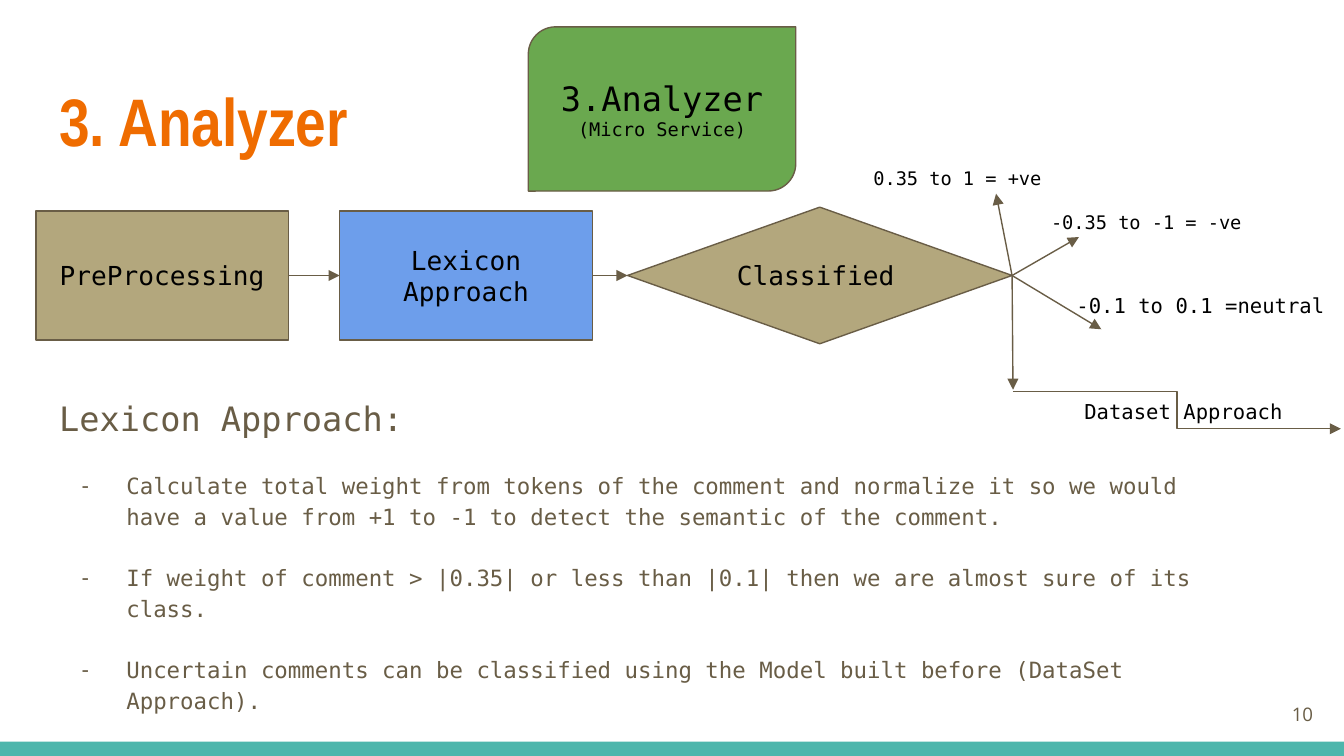
from lxml import etree
from pptx import Presentation
from pptx import util as u
from pptx.dml.color import RGBColor
from pptx.enum import shapes, text
from pptx.oxml.ns import qn

Pt = u.Pt
COLORS = {
    "orange": "EF6C00", "brown": "695D46", "black": "000000", "teal": "4DB6AC",
    "green": "6AA84F", "blue": "6D9EEB", "sand": "B3A77D",
}
MONO = "DejaVu Sans Mono"
LEFT, CENTER, RIGHT = text.PP_ALIGN.LEFT, text.PP_ALIGN.CENTER, text.PP_ALIGN.RIGHT
TOP, MIDDLE = text.MSO_ANCHOR.TOP, text.MSO_ANCHOR.MIDDLE
SHAPE = shapes.MSO_SHAPE
FLOW_Y = 147.6
STEP_TOP, STEP_WIDTH, STEP_HEIGHT = 113, 135.4, 69.2

BULLETS = [
    "Calculate total weight from tokens of the comment and normalize it so we would "
    "have a value from +1 to -1 to detect the semantic of the comment.",
    "If weight of comment > |0.35| or less than |0.1| then we are almost sure of its class.",
    "Uncertain comments can be classified using the Model built before (DataSet Approach).",
]


def rgb(name):
    return RGBColor.from_string(COLORS[name])


def place(element, left, top, width, height):
    element.left, element.top = Pt(left), Pt(top)
    element.width, element.height = Pt(width), Pt(height)


def prepare_frame(frame, anchor=TOP):
    frame.word_wrap = True
    frame.auto_size = text.MSO_AUTO_SIZE.NONE
    frame.vertical_anchor = anchor
    frame.margin_left = frame.margin_right = Pt(7.2)
    frame.margin_top = frame.margin_bottom = Pt(7.2)


def write(frame, lines, color="black", name=MONO, align=LEFT, bold=False):
    for index, (words, size) in enumerate(lines):
        paragraph = frame.paragraphs[0] if index == 0 else frame.add_paragraph()
        paragraph.text = words
        paragraph.alignment = align
        font = paragraph.font
        font.name, font.size, font.bold = name, Pt(size), bold
        font.color.rgb = rgb(color)


def set_bullet(paragraph, mark=None):
    properties = paragraph._p.get_or_add_pPr()
    properties.set("marL", str(Pt(36) if mark else 0))
    properties.set("indent", str(Pt(-24) if mark else 0))
    bullet = etree.Element(qn("a:buChar" if mark else "a:buNone"))
    if mark:
        bullet.set("char", mark)
    properties.find(qn("a:defRPr")).addprevious(bullet)


def fill_title(title):
    place(title, 24.5, 35.3, 671, 55.4)
    prepare_frame(title.text_frame)
    write(title.text_frame, [("3. Analyzer", 36)], "orange", "Arial Narrow", bold=True)


def fill_body(body):
    place(body, 24.5, 203, 648, 185.8)
    frame = body.text_frame
    prepare_frame(frame)
    write(frame, [("Lexicon Approach:", 18)] + [(line, 12) for line in BULLETS], "brown")
    for index, paragraph in enumerate(frame.paragraphs):
        paragraph.line_spacing = 1.15
        paragraph.space_before = Pt(16 if index else 0)
        set_bullet(paragraph, "-" if index else None)


def add_block(slide, kind, box, fill, lines=(), align=CENTER, outlined=True):
    block = slide.shapes.add_shape(kind, *map(Pt, box))
    block.shadow.inherit = False
    block.fill.solid()
    block.fill.fore_color.rgb = rgb(fill)
    if outlined:
        block.line.color.rgb = rgb("brown")
        block.line.width = Pt(0.75)
    else:
        block.line.fill.background()
    prepare_frame(block.text_frame, MIDDLE)
    write(block.text_frame, lines, align=align)
    return block


def add_label(slide, box, words, size, color="black", name=MONO, align=LEFT, anchor=TOP):
    label = slide.shapes.add_textbox(*map(Pt, box))
    prepare_frame(label.text_frame, anchor)
    write(label.text_frame, [(words, size)], color, name, align)


def add_arrow(slide, start, end, kind=shapes.MSO_CONNECTOR.STRAIGHT):
    arrow = slide.shapes.add_connector(kind, *map(Pt, start + end))
    arrow.line.color.rgb = rgb("brown")
    arrow.line.width = Pt(0.75)
    etree.SubElement(arrow.line._get_or_add_ln(), qn("a:tailEnd"), type="triangle")
    etree.SubElement(arrow._element.spPr, qn("a:effectLst"))


def main():
    deck = Presentation()
    deck.slide_width, deck.slide_height = Pt(720), Pt(405)
    slide = deck.slides.add_slide(deck.slide_layouts[1])

    add_block(slide, SHAPE.RECTANGLE, (0, 397.4, 720, 7.6), "teal", outlined=False)
    fill_title(slide.shapes.title)
    fill_body(slide.placeholders[1])

    analyzer = add_block(slide, SHAPE.ROUND_2_DIAG_RECTANGLE, (283, 14.4, 143.3, 88), "green",
                         [("3.Analyzer", 18), ("(Micro Service)", 10)])
    analyzer.adjustments[0] = 0.167
    analyzer.adjustments[1] = 0

    for left, fill, words in [(19.2, "sand", "PreProcessing"), (182, "blue", "Lexicon Approach")]:
        add_block(slide, SHAPE.FLOWCHART_PROCESS, (left, STEP_TOP, STEP_WIDTH, STEP_HEIGHT),
                  fill, [(words, 14)])
    add_block(slide, SHAPE.FLOWCHART_DECISION, (336.2, 111, 206, 73.2), "sand",
              [("Classified", 14)], align=LEFT)

    for start, end in [(154.6, 182), (317.4, 336.2)]:
        add_arrow(slide, (start, FLOW_Y), (end, FLOW_Y))
    for outcome in [(590, 176.4), (533.6, 103.8), (542.7, 208.8), (578, 127)]:
        add_arrow(slide, (542.2, FLOW_Y), outcome)
    add_arrow(slide, (542.7, 209.6), (718.4, 229.7), shapes.MSO_CONNECTOR.ELBOW)

    for left, top, words, size in [
        (460.8, 82, "0.35 to 1 = +ve", 10),
        (556, 105.8, "-0.35 to -1 = -ve", 10),
        (569.6, 149.8, "-0.1 to 0.1 =neutral", 11),
        (573.8, 206.6, "Dataset Approach", 11),
    ]:
        add_label(slide, (left, top, 154.8, 28.8), words, size)
    add_label(slide, (667.4, 367.2, 43.2, 31), "10", 10, "brown", "Open Sans", RIGHT, MIDDLE)

    deck.save("out.pptx")


if __name__ == "__main__":
    main()
